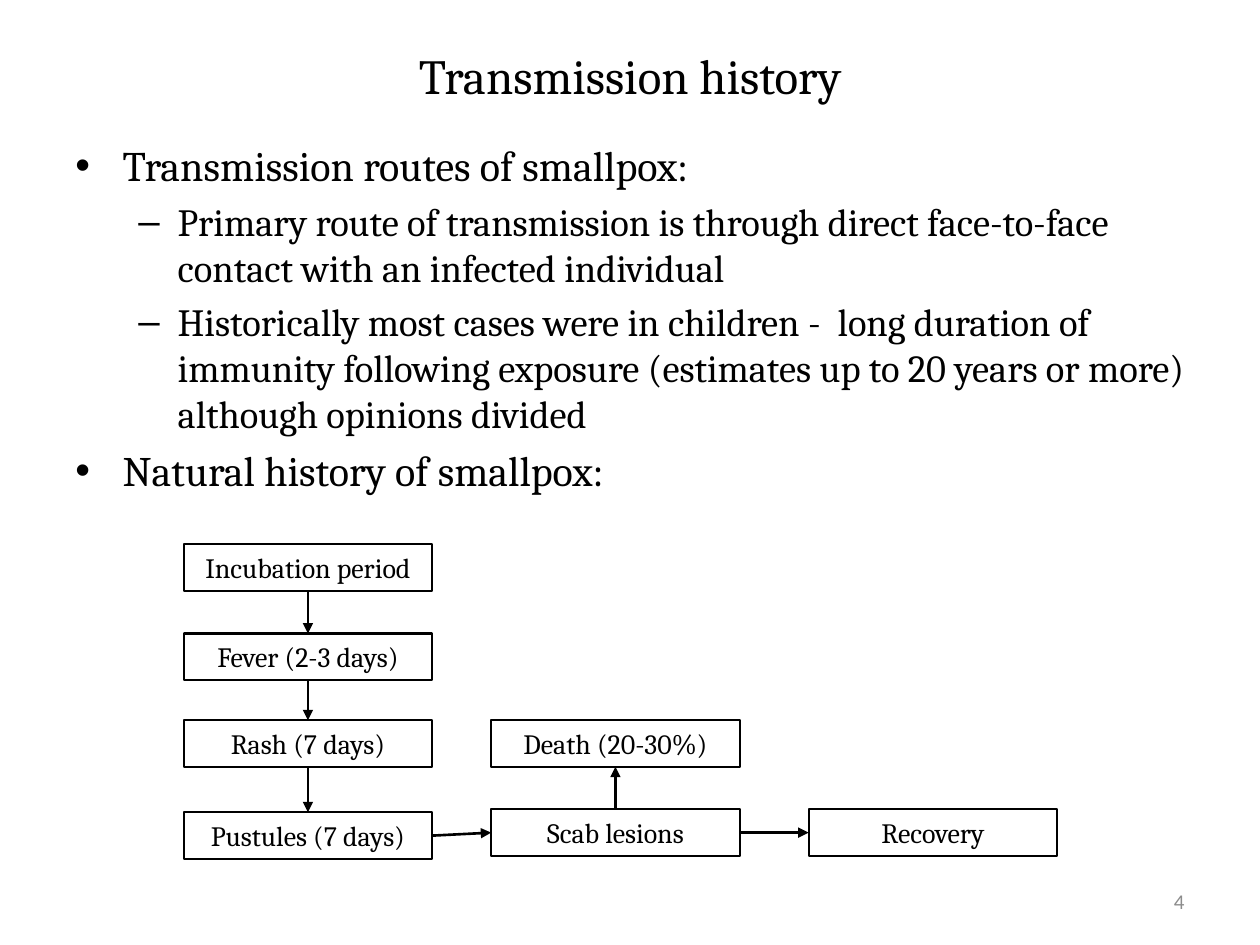
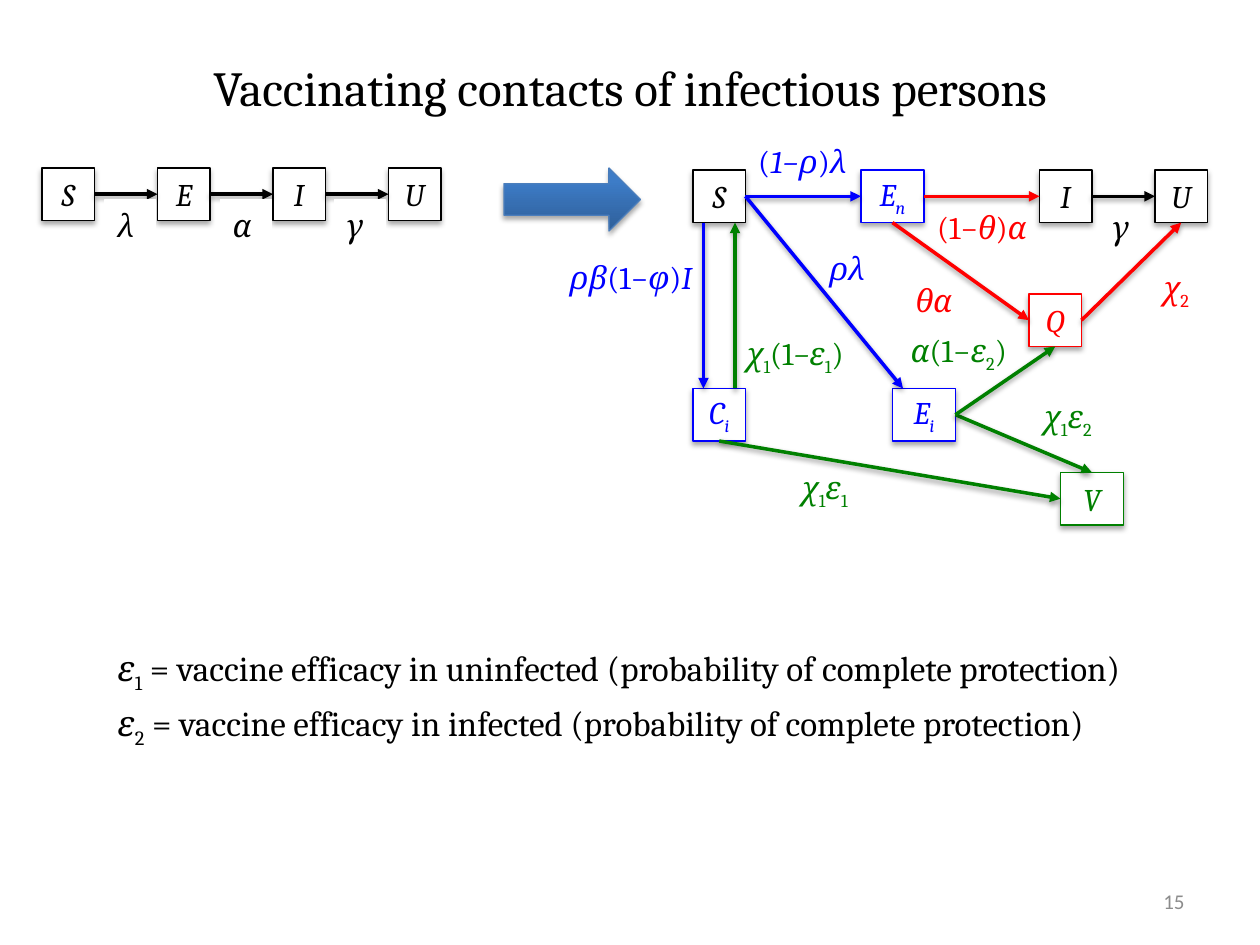
from itertools import groupby

from lxml import etree
from pptx import Presentation
from pptx.dml.color import RGBColor
from pptx.enum.shapes import MSO_CONNECTOR, MSO_SHAPE
from pptx.enum.text import MSO_ANCHOR, PP_ALIGN
from pptx.oxml.ns import qn
from pptx.util import Pt

RECT, ARROW = MSO_SHAPE.RECTANGLE, MSO_SHAPE.RIGHT_ARROW
STRAIGHT = MSO_CONNECTOR.STRAIGHT
LEFT_AL, CENTER, RIGHT_AL = PP_ALIGN.LEFT, PP_ALIGN.CENTER, PP_ALIGN.RIGHT
TOP_ANCHOR, MIDDLE = MSO_ANCHOR.TOP, MSO_ANCHOR.MIDDLE
TOP, LEFT, BOTTOM, RIGHT = range(4)  # connection sites of a rectangle

BLACK, WHITE, GREY = "000000", "FFFFFF", "8C8C8C"
BLUE, RED, GREEN = "0000FF", "FF0000", "008000"
SERIF, SANS = "Cambria", "Calibri"
STATE = 30       # side of a state box
WIDE_STATE = 36  # width of a state box with a longer name
LABEL_HEIGHT = 28.8


def rgb(value):
    """Turn a hex string into a colour."""
    return RGBColor.from_string(value)


def apply(target, values):
    """Set attributes from a dict of format values."""
    for name, value in values.items():
        setattr(target, name, value)


def sub(parent, tag, **attributes):
    """Append a DrawingML element."""
    return etree.SubElement(parent, qn(tag), attributes)


def set_effect(shape, opacity=0, distance=0):
    """Give a shape a soft downward shadow, or none when opacity is 0."""
    effects = sub(shape._element.spPr, "a:effectLst")
    if opacity:
        shadow = sub(effects, "a:outerShdw", blurRad=str(Pt(3.1)), dist=str(Pt(distance)),
                     dir="5400000", rotWithShape="0")
        sub(sub(shadow, "a:srgbClr", val=BLACK), "a:alpha", val=str(opacity * 1000))


def write(paragraph, markup, size, color=BLACK, font=SERIF):
    """Write runs: * switches italics, _ lowers the next character."""
    italic = lowered = False
    letters = []
    for char in markup:
        if char == "*":
            italic = not italic
        elif char == "_":
            lowered = True
        else:
            letters.append((char, italic, lowered))
            lowered = False
    for (slanted, low), group in groupby(letters, key=lambda letter: letter[1:]):
        run = paragraph.add_run()
        run.text = "".join(letter[0] for letter in group)
        apply(run.font, {"size": Pt(size), "name": font, "italic": slanted})
        run.font.color.rgb = rgb(color)
        if low:
            run._r.get_or_add_rPr().set("baseline", "-25000")


def add_text(slide, box, markup, size, align=LEFT_AL, anchor=TOP_ANCHOR, **style):
    """Place a one-paragraph text box."""
    frame = slide.shapes.add_textbox(*map(Pt, box)).text_frame
    apply(frame, {"word_wrap": True, "vertical_anchor": anchor})
    frame.paragraphs[0].alignment = align
    write(frame.paragraphs[0], markup, size, **style)


def add_box(slide, box, markup, size, color=BLACK, border=BLACK, width=0.75,
            filled=True, align=CENTER, anchor=MIDDLE, shadow=False):
    """Place a bordered rectangle with text."""
    shape = slide.shapes.add_shape(RECT, *map(Pt, box))
    if filled:
        shape.fill.solid()
        shape.fill.fore_color.rgb = rgb(WHITE)
    else:
        shape.fill.background()
    shape.line.color.rgb = rgb(border)
    shape.line.width = Pt(width)
    if shadow:
        set_effect(shape, 35, 1.8)
    else:
        shape.shadow.inherit = False
    apply(shape.text_frame, {"word_wrap": False, "vertical_anchor": anchor})
    paragraph = shape.text_frame.paragraphs[0]
    paragraph.alignment = align
    write(paragraph, markup, size, color)
    return shape


def add_arrow(slide, ends=(0, 0, 0, 0), color=BLACK, width=1.5, shadow=False):
    """Draw a straight line with an arrowhead at its end."""
    arrow = slide.shapes.add_connector(STRAIGHT, *map(Pt, ends))
    arrow.line.color.rgb = rgb(color)
    arrow.line.width = Pt(width)
    sub(arrow.line._get_or_add_ln(), "a:tailEnd", type="triangle")
    set_effect(arrow, 38 if shadow else 0, 1.6)
    return arrow


def link(slide, start, start_site, end, end_site, **style):
    """Join two boxes with a glued arrow."""
    arrow = add_arrow(slide, **style)
    arrow.begin_connect(start, start_site)
    arrow.end_connect(end, end_site)


def add_frame(slide, title, title_top, number):
    """Place the title and the slide number."""
    add_text(slide, (36, title_top, 648, 56), title, 28, CENTER, MIDDLE)
    add_text(slide, (516, 500.4, 168, 28.8), number, 12, RIGHT_AL, MIDDLE,
             color=GREY, font=SANS)


def add_paragraphs(slide, box, items, wrap=True):
    """Place hanging paragraphs of (markup, size, margin, indent, bullet)."""
    frame = slide.shapes.add_textbox(*map(Pt, box)).text_frame
    frame.word_wrap = wrap
    for index, (markup, size, margin, indent, bullet) in enumerate(items):
        paragraph = frame.add_paragraph() if index else frame.paragraphs[0]
        paragraph.space_before = Pt(size * 0.2)
        properties = paragraph._p.get_or_add_pPr()
        properties.set("marL", str(Pt(margin)))
        properties.set("indent", str(Pt(-indent)))
        if bullet:
            sub(properties, "a:buFont", typeface="Arial")
            sub(properties, "a:buChar", char=bullet)
        write(paragraph, markup, size)


def add_disease_course(slide, left, top):
    """Draw the stages of the disease and the arrows between them."""
    middle, right = 175.7, 357.1
    stages = {
        "Incubation period": (0, 0),
        "Fever (2-3 days)": (0, 51),
        "Rash (7 days)": (0, 100.6),
        "Pustules (7 days)": (0, 153.2),
        "Scab lesions": (middle, 151.5),
        "Death (20-30%)": (middle, 100.6),
        "Recovery": (right, 151.5),
    }
    incubation, fever, rash, pustules, scabs, death, recovery = [
        add_box(slide, (left + x, top + y, 142, 26.6), name, 16, width=1.25,
                filled=False, anchor=TOP_ANCHOR)
        for name, (x, y) in stages.items()]
    for start, start_site, end, end_site in (
            (incubation, BOTTOM, fever, TOP), (fever, BOTTOM, rash, TOP),
            (rash, BOTTOM, pustules, TOP), (pustules, RIGHT, scabs, LEFT),
            (scabs, TOP, death, BOTTOM), (scabs, RIGHT, recovery, LEFT)):
        link(slide, start, start_site, end, end_site)


def add_state(slide, x, y, name, color=BLACK, width=STATE):
    """Draw one state of a model."""
    return add_box(slide, (x, y, width, STATE), f"*{name}*", 18, color, color, shadow=True)


def add_rate(slide, x, y, width, markup, color=BLACK):
    """Place the rate that belongs to an arrow."""
    add_box(slide, (x, y, width, LABEL_HEIGHT), markup, 18, color, WHITE,
            align=LEFT_AL, anchor=TOP_ANCHOR)


def add_basic_model(slide, left, top, step=66):
    """Draw the chain of states without vaccination."""
    states = [add_state(slide, left + i * step, top, name) for i, name in enumerate("SEIU")]
    for start, end in zip(states, states[1:]):
        link(slide, start, RIGHT, end, LEFT, width=2, shadow=True)
    for x, name in ((36, "λ"), (102, "α"), (167, "γ")):
        add_rate(slide, left + x, top + 18, 29, f"*{name}*")


def add_transition(slide, box):
    """Draw the block arrow between the two models."""
    arrow = slide.shapes.add_shape(ARROW, *map(Pt, box))
    arrow.fill.gradient()
    arrow.fill.gradient_angle = 90
    for stop, position, color in zip(arrow.fill.gradient_stops, (0, 0.8), ("2F5F99", "3D7CC7")):
        stop.position = position
        stop.color.rgb = rgb(color)
    arrow.line.color.rgb = rgb("4B7EBC")
    arrow.line.width = Pt(0.75)
    set_effect(arrow, 35, 1.8)


def add_vaccination_model(slide, left, top):
    """Draw the network of states with vaccination of contacts."""
    lower = 124.8
    for x, y, width, markup, color in (
            (23.8, 90, 78, "*χ*_1(1*−ε*_1)", GREEN),
            (117.4, 88.6, 75, "*α*(1−*ε*_2)", GREEN),
            (70.6, 41.8, 37.4, "*ρλ*", BLUE),
            (30.2, -19.4, 70, "(*1−ρ*)*λ*", BLUE),
            (-77.8, 46.8, 90.7, "*ρβ*(1−*φ*)*I*", BLUE),
            (120.2, 59.8, 39, "*θα*", RED),
            (132.5, 18, 72, "(1−*θ*)*α*", RED),
            (232.6, 18, 28, "*γ*", BLACK),
            (262, 52.6, 31.7, "*χ*_2", RED),
            (193.7, 126, 46, "*χ*_1*ε*_2", GREEN),
            (55.4, 167, 46, "*χ*_1*ε*_1", GREEN)):
        add_rate(slide, left + x, top + y, width, markup, color)

    susceptible, exposed, infectious, immune, quarantined, contact, traced, vaccinated = [
        add_state(slide, left + x, top + y, name, color, width)
        for x, y, name, color, width in (
            (0, 0, "S", BLACK, STATE), (96, 0, "E_n", BLUE, WIDE_STATE),
            (198, 0, "I", BLACK, STATE), (264, 0, "U", BLACK, STATE),
            (192, 70.8, "Q", RED, STATE), (0, lower, "C_i", BLUE, STATE),
            (114, lower, "E_i", BLUE, WIDE_STATE), (210, 172.8, "V", GREEN, WIDE_STATE))]

    for start, start_site, end, end_site, color in (
            (susceptible, RIGHT, exposed, LEFT, BLUE),
            (exposed, RIGHT, infectious, LEFT, RED),
            (infectious, RIGHT, immune, LEFT, BLACK),
            (exposed, BOTTOM, quarantined, LEFT, RED),
            (quarantined, RIGHT, immune, BOTTOM, RED),
            (traced, RIGHT, vaccinated, TOP, GREEN),
            (contact, BOTTOM, vaccinated, LEFT, GREEN),
            (traced, RIGHT, quarantined, BOTTOM, GREEN)):
        link(slide, start, start_site, end, end_site, color=color, width=2, shadow=True)

    for x1, y1, x2, y2, color in (
            (6, STATE, 6, lower, BLUE), (24, lower, 24, STATE, GREEN),
            (STATE, STATE / 2, 120, lower, BLUE)):
        add_arrow(slide, (left + x1, top + y1, left + x2, top + y2), color, 2, True)


def build_history(slide):
    """Build the slide on transmission and disease course."""
    add_frame(slide, "Transmission history", 15, "4")
    main, detail = (24, 27, 27, "•"), (22, 58.5, 22.5, "–")
    add_paragraphs(slide, (36, 76.3, 648, 432), (
        ("Transmission routes of smallpox:", *main),
        ("Primary route of transmission is through direct face-to-face contact "
         "with an infected individual", *detail),
        ("Historically most cases were in children -  long duration of immunity following "
         "exposure (estimates up to 20 years or more) although opinions divided", *detail),
        ("Natural history of smallpox:", *main)))
    add_disease_course(slide, 105, 311)


def build_vaccination(slide):
    """Build the slide that compares the two models."""
    add_frame(slide, "Vaccinating contacts of infectious persons", 21.6, "15")
    add_basic_model(slide, 24, 96)
    add_transition(slide, (288, 96, 78, 36))
    add_vaccination_model(slide, 396, 97.2)
    add_paragraphs(slide, (60, 366, 619, 85), [
        (f"*ε*_{number} = vaccine efficacy in {group} (probability of complete protection)",
         20, 27, 27, None)
        for number, group in ((1, "uninfected"), (2, "infected"))], wrap=False)


deck = Presentation()
deck.slide_width, deck.slide_height = Pt(720), Pt(540)
for build in (build_history, build_vaccination):
    build(deck.slides.add_slide(deck.slide_layouts[6]))
deck.save("out.pptx")
